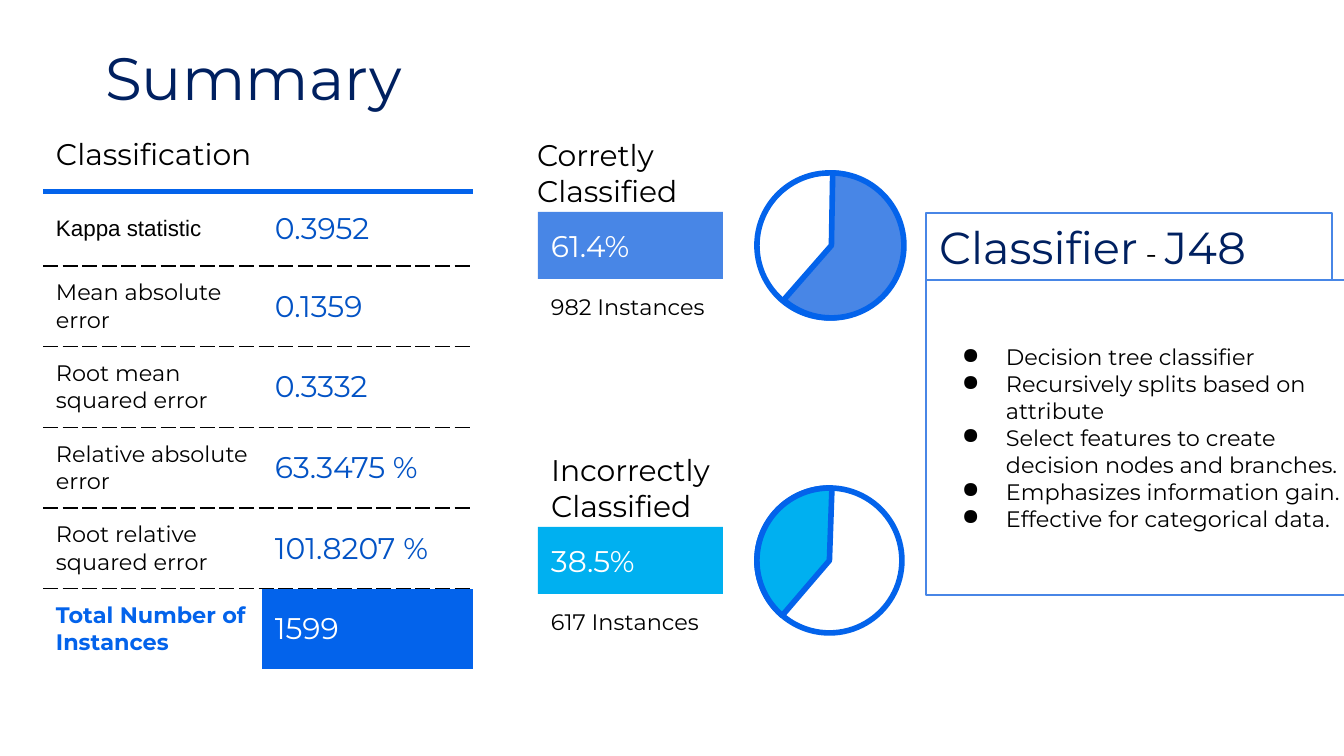
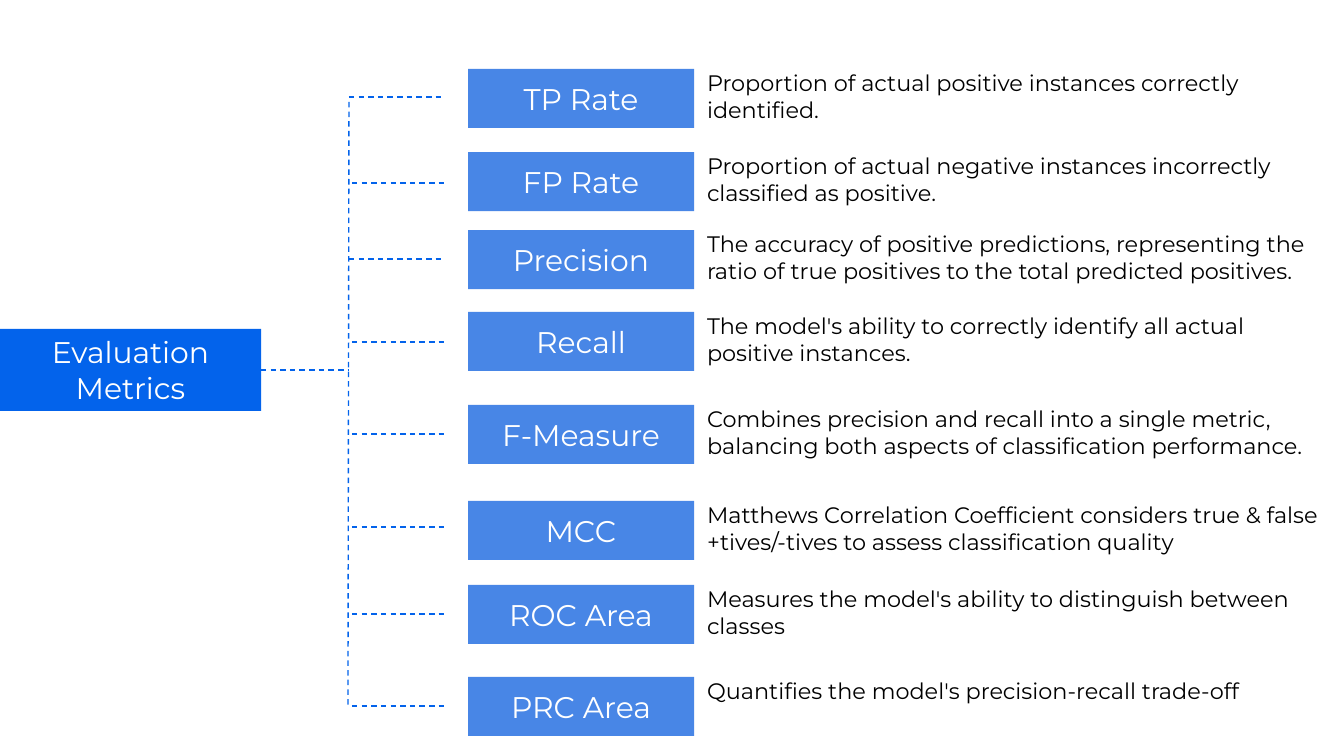
"""Builds two slides on classification results and evaluation metrics."""
from lxml import etree
from pptx import Presentation
from pptx.dml.color import RGBColor
from pptx.enum.dml import MSO_LINE
from pptx.enum.shapes import MSO_CONNECTOR, MSO_SHAPE
from pptx.enum.text import MSO_ANCHOR, MSO_AUTO_SIZE, PP_ALIGN
from pptx.oxml.ns import qn
from pptx.util import Emu, Pt

SCALE = 914400 / 134.4
FONT = "Montserrat"
COLORS = {
    "ink": "000000", "white": "FFFFFF", "navy": "002060", "royal": "0363EB",
    "value": "0353C5", "blue": "4886E6", "cyan": "00B0F0",
}
LEFT, CENTER = PP_ALIGN.LEFT, PP_ALIGN.CENTER
TOP, MIDDLE = MSO_ANCHOR.TOP, MSO_ANCHOR.MIDDLE
RECTANGLE, ROUNDED = MSO_SHAPE.RECTANGLE, MSO_SHAPE.ROUNDED_RECTANGLE
OVAL, PIE = MSO_SHAPE.OVAL, MSO_SHAPE.PIE
STRAIGHT, DASH = MSO_CONNECTOR.STRAIGHT, MSO_LINE.DASH
NO_FIT = MSO_AUTO_SIZE.NONE
TITLE_ONLY, BLANK = 5, 6
RIGHT_SIDE = 3
INSET = 13

STATISTICS = [
    ("Kappa statistic", "0.3952"),
    ("Mean absolute error", "0.1359"),
    ("Root mean squared error", "0.3332"),
    ("Relative absolute error", "63.3475 %"),
    ("Root relative squared error", "101.8207 %"),
    ("Total Number of Instances", "1599"),
]
CLASSIFIER_NOTES = [
    "Decision tree classifier",
    "Recursively splits based on attribute",
    "Select features to create decision nodes and branches.",
    "Emphasizes information gain.",
    "Effective for categorical data.",
]
METRICS = [
    (69, 349, 97, "TP Rate",
     "Proportion of actual positive instances correctly identified."),
    (152, 352, 183, "FP Rate",
     "Proportion of actual negative instances incorrectly classified as positive."),
    (230, 349, 259, "Precision",
     "The accuracy of positive predictions, representing the ratio of true "
     "positives to the total predicted positives."),
    (312, 352, 342, "Recall",
     "The model's ability to correctly identify all actual positive instances."),
    (405, 352, 434, "F-Measure",
     "Combines precision and recall into a single metric, balancing both "
     "aspects of classification performance."),
    (501, 352, 527, "MCC",
     "Matthews Correlation Coefficient considers true & false +tives/-tives "
     "to assess classification quality"),
    (585, 352, 614, "ROC Area",
     "Measures the model's ability to distinguish between classes"),
    (677, 352, 706, "PRC Area",
     "Quantifies the model's precision-recall trade-off"),
]


def px(length):
    """Turn a length in px into EMU."""
    return Emu(round(length * SCALE))


def color(name):
    """Look up a named colour."""
    return RGBColor.from_string(COLORS[name])


def style_span(span, size, ink, font=FONT, bold=False):
    """Format one run."""
    span.font.name = font
    span.font.size = Pt(size)
    span.font.bold = bold
    span.font.color.rgb = color(ink)


def write(frame, text, size, ink, align=LEFT, anchor=MIDDLE):
    """Fill a text frame, one paragraph per line of text."""
    frame.word_wrap = True
    frame.auto_size = NO_FIT
    frame.vertical_anchor = anchor
    frame.margin_left = frame.margin_right = px(INSET)
    frame.margin_top = frame.margin_bottom = px(INSET)
    frame.text = text
    for para in frame.paragraphs:
        para.alignment = align
        for span in para.runs:
            style_span(span, size, ink)


def add_label(page, bounds, text, size, anchor=MIDDLE):
    """Add a plain text box."""
    box = page.shapes.add_textbox(*map(px, bounds))
    write(box.text_frame, text, size, "ink", anchor=anchor)


def add_figure(page, kind, bounds, fill=None, line=None, weight=0.75):
    """Add a preset shape with an optional fill and outline."""
    shape = page.shapes.add_shape(kind, *map(px, bounds))
    shape.shadow.inherit = False
    if fill:
        shape.fill.solid()
        shape.fill.fore_color.rgb = color(fill)
    else:
        shape.fill.background()
    if line:
        shape.line.color.rgb = color(line)
        shape.line.width = Pt(weight)
    else:
        shape.line.fill.background()
    return shape


def add_metric_box(page, bounds, text, fill):
    """Add a filled box with centred white text."""
    box = add_figure(page, ROUNDED, bounds, fill)
    box.adjustments[0] = 0
    write(box.text_frame, text, 16, "white", CENTER)
    return box


def add_dashed_line(page, start, end):
    """Add a dashed connector between two points."""
    line = page.shapes.add_connector(STRAIGHT, *map(px, start + end))
    line.line.color.rgb = color("royal")
    line.line.width = Pt(0.75)
    line.line.dash_style = DASH
    etree.SubElement(line._element.spPr, qn("a:effectLst"))
    return line


def add_bullets(frame):
    """Give each paragraph a round bullet and a hanging indent."""
    for para in frame.paragraphs:
        properties = para._p.get_or_add_pPr()
        properties.set("marL", str(px(67)))
        properties.set("indent", str(px(-44)))
        tint = etree.SubElement(properties, qn("a:buClr"))
        etree.SubElement(tint, qn("a:srgbClr"), val=COLORS["ink"])
        etree.SubElement(properties, qn("a:buChar"), char="●")


def set_borders(cell, top=None, bottom=None):
    """Draw the top and bottom borders of a cell and hide the rest."""
    properties = cell._tc.get_or_add_tcPr()
    sides = {"L": None, "R": None, "T": top, "B": bottom}
    for index, (side, look) in enumerate(sides.items()):
        border = etree.Element(qn(f"a:ln{side}"))
        properties.insert(index, border)
        if look is None:
            etree.SubElement(border, qn("a:noFill"))
            continue
        ink, weight, dash = look
        border.set("w", str(Pt(weight)))
        fill = etree.SubElement(border, qn("a:solidFill"))
        etree.SubElement(fill, qn("a:srgbClr"), val=COLORS[ink])
        etree.SubElement(border, qn("a:prstDash"), val=dash)


def fill_cell(cell, text, size, ink, fill=None, font=FONT, bold=False):
    """Write and colour one table cell."""
    cell.text = text
    cell.vertical_anchor = MIDDLE
    cell.margin_left = cell.margin_right = px(INSET)
    cell.margin_top = cell.margin_bottom = px(INSET)
    style_span(cell.text_frame.paragraphs[0].runs[0], size, ink, font, bold)
    if fill:
        cell.fill.solid()
        cell.fill.fore_color.rgb = color(fill)
    else:
        cell.fill.background()


def add_statistics_table(page):
    """Add the table of classification statistics."""
    rule, dashes = ("royal", 3, "solid"), ("ink", 0.75, "dash")
    rows = len(STATISTICS) + 1
    table = page.shapes.add_table(
        rows, 2, px(43), px(117), px(430), px(75 + 74 * (rows - 1))).table
    table.first_row = table.horz_banding = False
    table.columns[0].width, table.columns[1].width = px(219), px(211)
    for index, row in enumerate(table.rows):
        row.height = px(74 if index else 75)
    heading = table.cell(0, 0)
    heading.merge(table.cell(0, 1))
    fill_cell(heading, "Classification", 16, "ink")
    for cell in table.rows[0].cells:
        set_borders(cell, bottom=rule)
    for index, (name, value) in enumerate(STATISTICS, 1):
        first, last = index == 1, index == rows - 1
        label, figure = table.rows[index].cells
        fill_cell(label, name, 12, "royal" if last else "ink",
                  font="Arial" if first else FONT, bold=last)
        fill_cell(figure, value, 16, "white" if last else "value",
                  fill="royal" if last else None)
        for cell in (label, figure):
            set_borders(cell, rule if first else dashes, None if last else dashes)


def add_classifier_panel(page):
    """Add the classifier heading and its bulleted notes."""
    heading = add_figure(page, RECTANGLE, (926, 213, 406, 67), line="blue")
    write(heading.text_frame, "Classifier", 24, "navy")
    para = heading.text_frame.paragraphs[0]
    for text, size, ink in ((" - ", 16, "ink"), ("J48", 24, "navy")):
        span = para.add_run()
        span.text = text
        style_span(span, size, ink)
    notes = add_figure(page, RECTANGLE, (926, 280, 427, 315), line="blue")
    write(notes.text_frame, "\n".join(CLASSIFIER_NOTES), 12, "ink")
    add_bullets(notes.text_frame)


def add_outcome(page, top, heading, heading_left, share, count, fill,
                pie_left, angles, rotation):
    """Add a share of instances with its heading, count and pie."""
    add_label(page, (heading_left, top - 73, 195, 67), heading, 16)
    bar = add_figure(page, RECTANGLE, (538, top, 185, 67), fill)
    write(bar.text_frame, share, 16, "white")
    add_label(page, (538, top + 67, 185, 55), count, 12)
    add_figure(page, OVAL, (757, top - 39, 145, 145), line="royal", weight=3)
    pie = add_figure(page, PIE, (pie_left, top - 39, 145, 145), fill, "royal", 3)
    for index, angle in enumerate(angles):
        pie.adjustments[index] = angle * 0.6
    pie.rotation = rotation


def build_summary(deck):
    """Build the summary slide."""
    page = deck.slides.add_slide(deck.slide_layouts[TITLE_ONLY])
    title = page.shapes.title
    title.left, title.top, title.width, title.height = map(px, (43, 36, 421, 82))
    write(title.text_frame, "Summary", 32, "navy", CENTER)
    add_classifier_panel(page)
    add_statistics_table(page)
    add_outcome(page, 212, "Corretly Classified", 524, "61.4%", "982 Instances",
                "blue", 759, (271.02, 131.18), 0)
    add_outcome(page, 527, "Incorrectly Classified", 538, "38.5%", "617 Instances",
                "cyan", 757, (194.11, 335.53), 296.5)


def build_metrics(deck):
    """Build the tree of evaluation metrics."""
    page = deck.slides.add_slide(deck.slide_layouts[BLANK])
    root = add_metric_box(page, (0, 329, 261, 82), "Evaluation Metrics", "royal")
    stem = add_dashed_line(page, (261, 370), (348, 370))
    stem.begin_connect(root, RIGHT_SIDE)
    add_dashed_line(page, (349, 102), (348, 706))
    for top, branch_left, branch_y, name, meaning in METRICS:
        add_label(page, (694, top - 13, 642, 82), meaning, 12, TOP)
        add_metric_box(page, (468, top, 226, 59), name, "blue")
        add_dashed_line(page, (branch_left, branch_y), (branch_left + 95, branch_y))


def main():
    """Build and save the deck."""
    deck = Presentation()
    deck.slide_width, deck.slide_height = px(1344), px(756)
    build_summary(deck)
    build_metrics(deck)
    deck.save("out.pptx")


if __name__ == "__main__":
    main()
